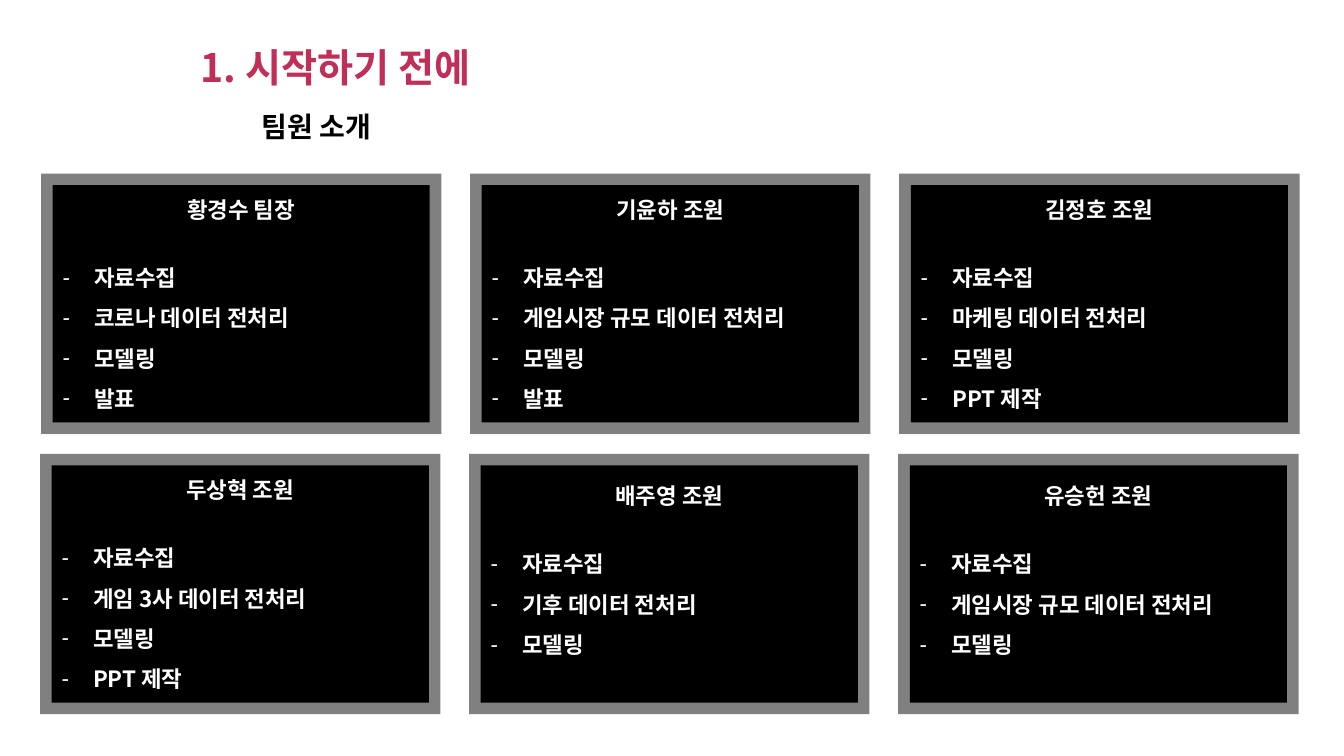
from pptx import Presentation
from pptx.dml.color import RGBColor as RGB
from pptx.enum.shapes import MSO_SHAPE as SHAPE
from pptx.enum.text import MSO_ANCHOR as ANCHOR, PP_ALIGN as ALIGN
from pptx.oxml.ns import qn
from pptx.util import Pt
from lxml.etree import SubElement

FONT = "Noto Sans CJK KR"
COLORS = {"accent": "BF2F58", "text": "000000", "frame": "808080",
          "panel": "000000", "light": "FFFFFF"}

MEMBERS = [
    ("황경수 팀장", ["자료수집", "코로나 데이터 전처리", "모델링", "발표"]),
    ("기윤하 조원", ["자료수집", "게임시장 규모 데이터 전처리", "모델링", "발표"]),
    ("김정호 조원", ["자료수집", "마케팅 데이터 전처리", "모델링", "PPT 제작"]),
    ("두상혁 조원", ["자료수집", "게임 3사 데이터 전처리", "모델링", "PPT 제작"]),
    ("배주영 조원", ["자료수집", "기후 데이터 전처리", "모델링"]),
    ("유승헌 조원", ["자료수집", "게임시장 규모 데이터 전처리", "모델링"]),
]
MAX_TASKS = 4
COLUMNS = 3
CARD_W, CARD_H, BORDER = 286, 186, 8.3
PITCH_X = 306.5
ROWS = [(29.3, 124), (28.6, 324.2)]  # left and top of each row
TASK_GAP = 20
INSET = 3.6


def write(p, text, size, color):
    r = p.add_run()
    r.text = text
    values = {"name": FONT, "size": Pt(size), "bold": True}
    for name, value in values.items():
        setattr(r.font, name, value)
    r.font.color.rgb = RGB.from_string(COLORS[color])
    SubElement(r.font._element, qn("a:ea"), typeface=FONT)


def add_rect(slide, x, y, w, h, color):
    sp = slide.shapes.add_shape(SHAPE.RECTANGLE, Pt(x), Pt(y), Pt(w), Pt(h))
    sp.shadow.inherit = False
    sp.fill.solid()
    sp.fill.fore_color.rgb = RGB.from_string(COLORS[color])
    sp.line.fill.background()
    return sp


def add_heading(sp, x, y, w, h, text, size, color):
    sp.left, sp.top, sp.width, sp.height = Pt(x), Pt(y), Pt(w), Pt(h)
    tf = sp.text_frame
    tf.word_wrap = False
    tf.vertical_anchor = ANCHOR.MIDDLE
    p = tf.paragraphs[0]
    p.alignment = ALIGN.LEFT
    write(p, text, size, color)


def add_task(tf, text):
    p = tf.add_paragraph()
    p.alignment = ALIGN.LEFT
    p.line_spacing = 1.5
    pPr = p._p.get_or_add_pPr()
    pPr.set("marL", str(Pt(22.5)))
    pPr.set("indent", str(-Pt(22.5)))
    SubElement(pPr, qn("a:buFont"), typeface="Arial")
    SubElement(pPr, qn("a:buChar"), char="-")
    write(p, text, 16, "light")
    return p


def add_card(slide, x, y, w, h, member, tasks):
    # Grey frame with a black panel inside
    add_rect(slide, x, y, w, h, "frame")
    sp = add_rect(slide, x + BORDER, y + BORDER, w - 2 * BORDER,
                  h - 2 * BORDER, "panel")
    tf = sp.text_frame
    tf.word_wrap = True
    tf.vertical_anchor = ANCHOR.MIDDLE
    if len(tasks) < MAX_TASKS:
        tf.margin_bottom = Pt(INSET + TASK_GAP)

    # Member name, then the tasks
    p = tf.paragraphs[0]
    p.alignment = ALIGN.CENTER
    write(p, member, 16, "light")
    p.space_after = Pt(TASK_GAP)
    for task in tasks:
        add_task(tf, task)


def build_team_slide(prs):
    slide = prs.slides.add_slide(prs.slide_layouts[5])
    # Headings
    add_heading(slide.shapes.title, 136, 27.4, 228, 41,
                "1. 시작하기 전에", 28, "accent")
    box = slide.shapes.add_textbox(0, 0, 0, 0)
    add_heading(box, 180, 74.2, 102, 31.7, "팀원 소개", 20, "text")

    # Team cards
    for i, (member, tasks) in enumerate(MEMBERS):
        row, col = divmod(i, COLUMNS)
        left, top = ROWS[row]
        add_card(slide, left + col * PITCH_X, top, CARD_W, CARD_H,
                 member, tasks)


def main():
    prs = Presentation()
    prs.slide_width, prs.slide_height = Pt(960), Pt(540)
    build_team_slide(prs)
    prs.save("out.pptx")


if __name__ == "__main__":
    main()
